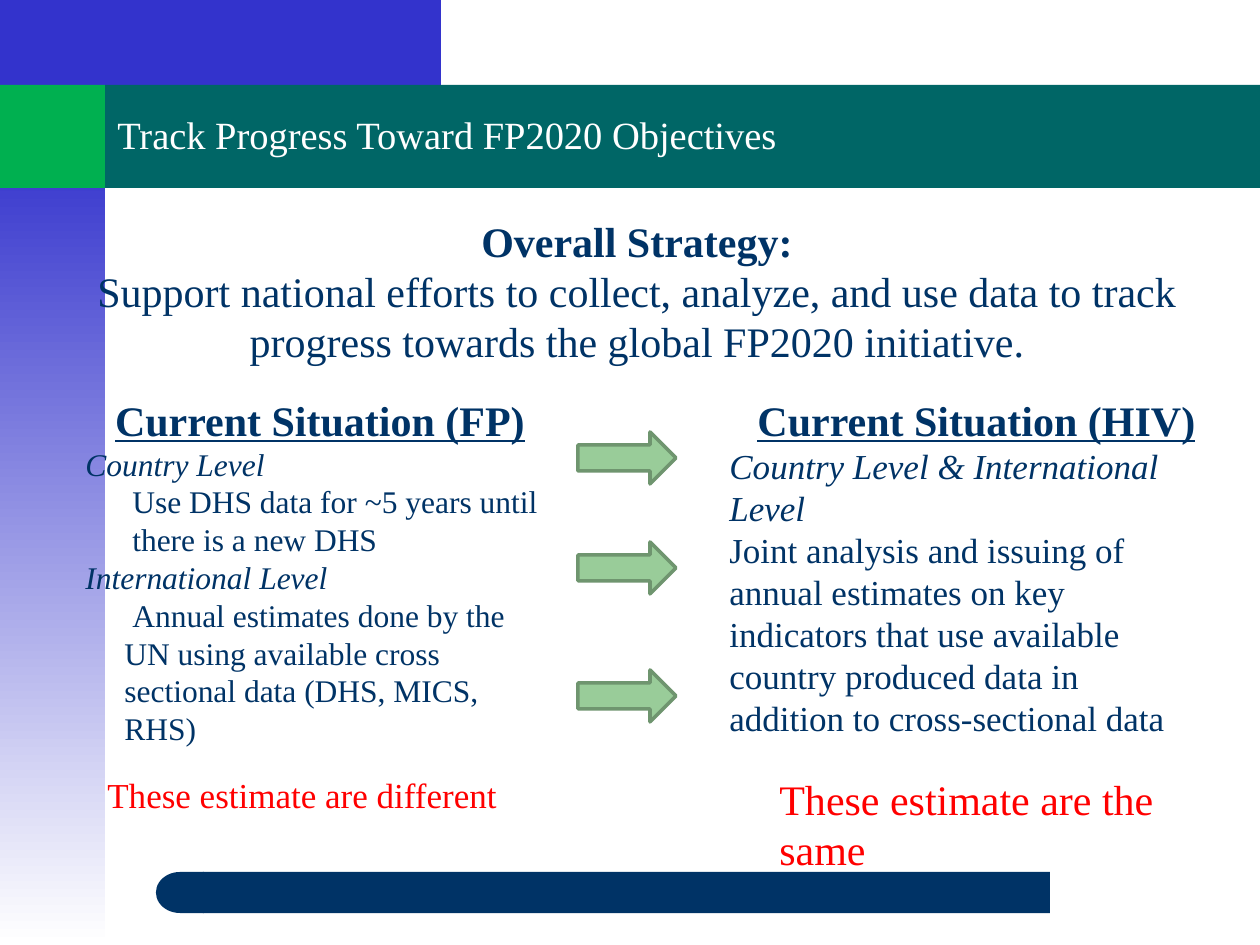
from typing import NamedTuple, Optional

from pptx import Presentation, util as u
from pptx.dml.color import RGBColor
from pptx.enum import shapes, text

EMU_PER_PX = 914400 / 126
FONT = "Times New Roman"
COLORS = {
    "blue": "3333CC",
    "white": "FFFFFF",
    "green": "00B050",
    "teal": "006666",
    "navy": "003366",
    "red": "FF0000",
    "arrow": "99CC99",
    "arrow_edge": "6F956F",
}
KIND = shapes.MSO_SHAPE


class Box(NamedTuple):
    left: int
    top: int
    width: int
    height: int


class Block(NamedTuple):
    box: Box
    color: str
    kind: KIND = KIND.RECTANGLE
    corner: Optional[float] = None
    flipped: bool = False
    fade_to: Optional[str] = None
    edge: Optional[str] = None


class Line(NamedTuple):
    words: str
    size: int
    bold: bool = False
    italic: bool = False
    underline: bool = False
    centered: bool = False
    margin: int = 0
    indent: int = 0


class TextBlock(NamedTuple):
    box: Box
    color: str
    lines: list[Line]


def px(length: int) -> int:
    return round(length * EMU_PER_PX)


def rgb(name: str) -> RGBColor:
    return RGBColor.from_string(COLORS[name])


def draw_block(slide, block: Block) -> None:
    shape = slide.shapes.add_shape(block.kind, *map(px, block.box))
    shape.shadow.inherit = False
    if block.fade_to:
        shape.fill.gradient()
        shape.fill.gradient_angle = 270
        for stop, name in zip(shape.fill.gradient_stops, (block.color, block.fade_to)):
            stop.color.rgb = rgb(name)
    else:
        shape.fill.solid()
        shape.fill.fore_color.rgb = rgb(block.color)
    if block.edge:
        shape.line.color.rgb = rgb(block.edge)
        shape.line.width = u.Pt(2)
    else:
        shape.line.fill.background()
    if block.corner is not None:
        shape.adjustments[0] = block.corner
    if block.flipped:
        shape._element.spPr.xfrm.set("flipH", "1")


def draw_text(slide, block: TextBlock) -> None:
    frame = slide.shapes.add_textbox(*map(px, block.box)).text_frame
    frame.word_wrap = True
    for index, line in enumerate(block.lines):
        paragraph = frame.add_paragraph() if index else frame.paragraphs[0]
        paragraph.text = line.words
        if line.centered:
            paragraph.alignment = text.PP_ALIGN.CENTER
        if line.margin:
            properties = paragraph._p.get_or_add_pPr()
            properties.set("marL", str(px(line.margin)))
            properties.set("indent", str(px(line.indent)))
        font = paragraph.font
        font.name = FONT
        font.size = u.Pt(line.size)
        font.bold = line.bold
        font.italic = line.italic
        font.underline = line.underline
        font.color.rgb = rgb(block.color)


def heading(words: str) -> Line:
    return Line(words, 24, bold=True, underline=True, centered=True)


BLOCKS = [
    Block(Box(0, 136, 105, 809), "blue", fade_to="white"),
    Block(Box(203, 872, 847, 41), "navy", KIND.ROUNDED_RECTANGLE, corner=0),
    Block(Box(156, 872, 48, 41), "navy", KIND.FLOWCHART_DELAY, flipped=True),
    Block(Box(94, 0, 347, 147), "blue"),
    Block(Box(105, 105, 703, 84), "white", KIND.ROUNDED_RECTANGLE, corner=0.5),
    Block(Box(0, 0, 105, 179), "blue"),
    Block(Box(0, 85, 105, 103), "green"),
    Block(Box(105, 85, 1155, 103), "teal"),
]
ARROWS = [
    Block(Box(578, top, 98, 52), "arrow", KIND.RIGHT_ARROW, edge="arrow_edge")
    for top in (432, 542, 670)
]
TEXTS = [
    TextBlock(Box(105, 105, 1155, 59), "white", [
        Line("Track Progress Toward FP2020 Objectives", 22),
    ]),
    TextBlock(Box(73, 388, 494, 365), "navy", [
        heading("Current Situation (FP)"),
        Line("Country Level", 18, italic=True),
        Line("Use DHS data for ~5 years until", 18, margin=47),
        Line("there is a new DHS", 18, margin=47),
        Line("International Level", 18, italic=True),
        Line("Annual estimates done by the", 18, margin=39, indent=8),
        Line("UN using available cross", 18, margin=39),
        Line("sectional data (DHS, MICS,", 18, margin=39),
        Line("RHS)", 18, margin=39),
    ]),
    TextBlock(Box(717, 388, 519, 358), "navy", [
        heading("Current Situation (HIV)"),
        Line("Country Level & International Level", 20, italic=True),
        Line("Joint analysis and issuing of annual estimates on key", 20),
        Line("indicators that use available", 20),
        Line("country produced data in\vaddition to cross-sectional data", 20),
    ]),
    TextBlock(Box(39, 209, 1196, 164), "navy", [
        Line("Overall Strategy:", 24, bold=True, centered=True),
        Line("Support national efforts to collect, analyze, and use data to track "
             "progress towards the global FP2020 initiative.", 24, centered=True),
    ]),
    TextBlock(Box(95, 767, 441, 55), "red", [Line("These estimate are different", 20)]),
    TextBlock(Box(767, 767, 469, 113), "red", [Line("These estimate are the same", 24)]),
]


def main() -> None:
    presentation = Presentation()
    presentation.slide_width = px(1260)
    presentation.slide_height = px(945)
    slide = presentation.slides.add_slide(presentation.slide_layouts[6])
    for block in BLOCKS + ARROWS:
        draw_block(slide, block)
    for block in TEXTS:
        draw_text(slide, block)
    presentation.save("out.pptx")


if __name__ == "__main__":
    main()
